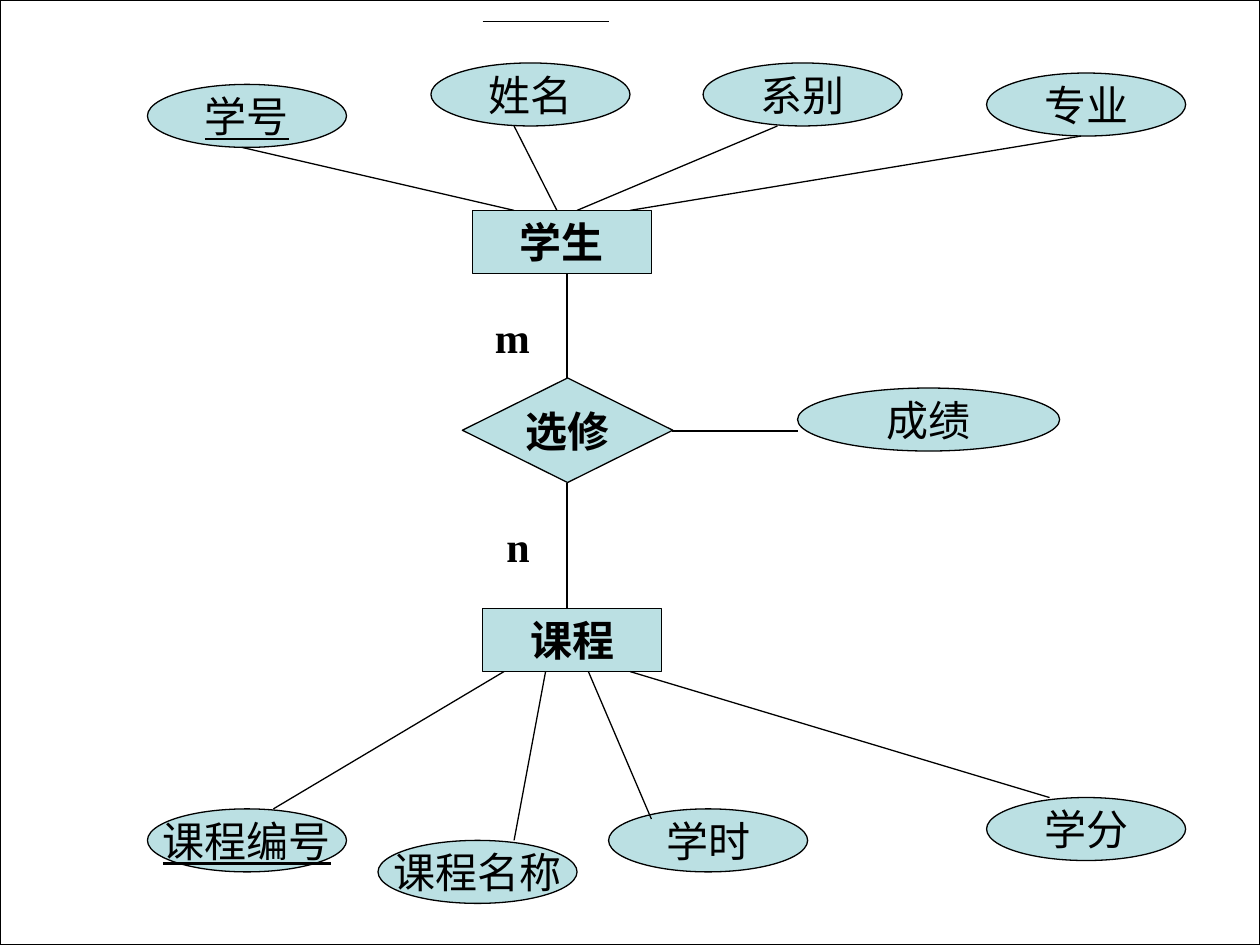
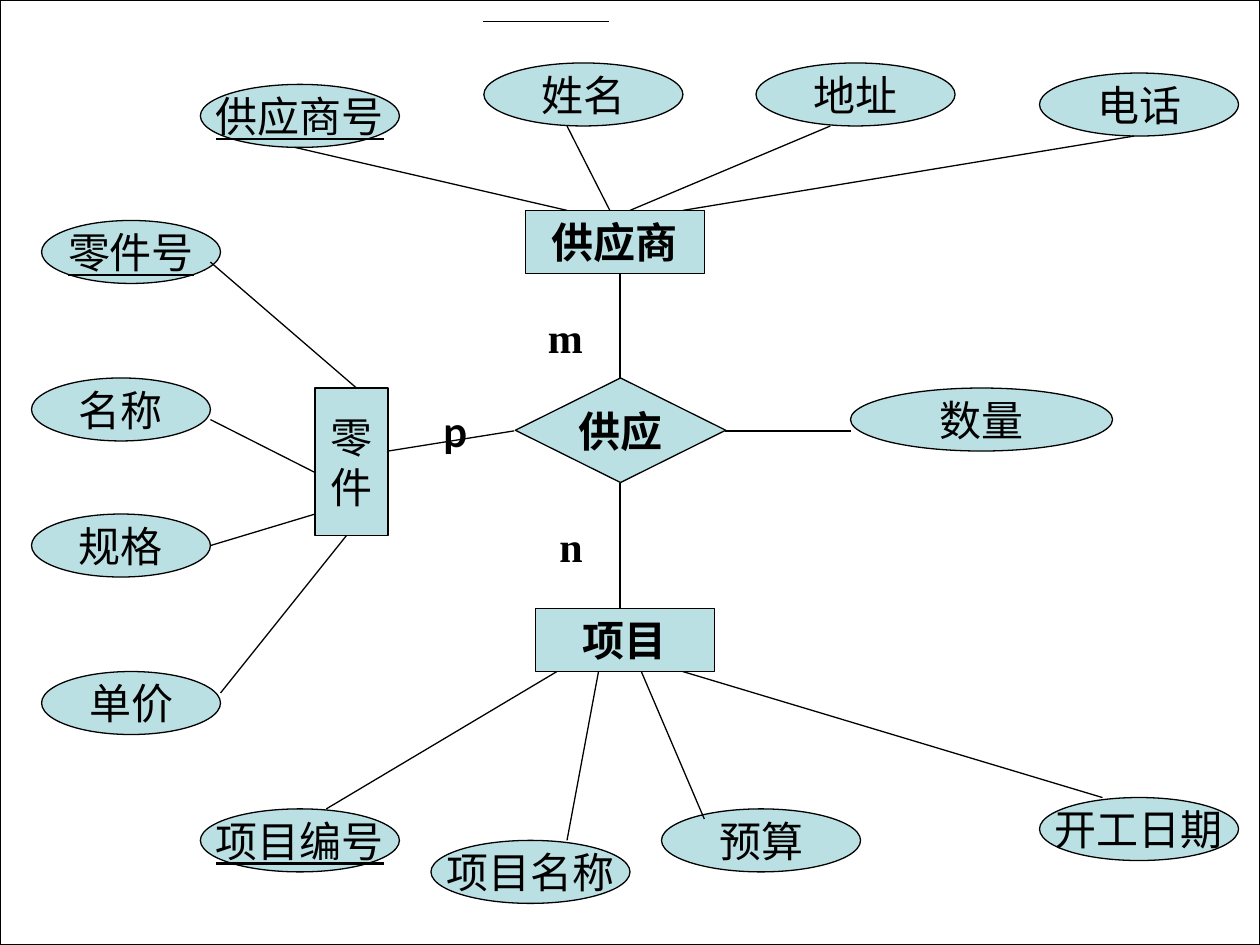
from dataclasses import dataclass

from lxml import etree
from pptx import Presentation
from pptx.dml.color import RGBColor
from pptx.enum.shapes import MSO_CONNECTOR, MSO_SHAPE
from pptx.enum.text import MSO_ANCHOR, PP_ALIGN
from pptx.oxml.ns import qn
from pptx.slide import Slide
from pptx.util import Inches, Pt


@dataclass(frozen=True)
class Theme:
    ink: RGBColor = RGBColor(0x00, 0x00, 0x00)
    paper: RGBColor = RGBColor(0xFF, 0xFF, 0xFF)
    node: RGBColor = RGBColor(0xBB, 0xE0, 0xE3)
    size: Pt = Pt(24)
    line: Pt = Pt(0.75)
    entity_font: str = "Times New Roman"
    attribute_font: str = "Lato"


THEME = Theme()
SLIDE_W, SLIDE_H = 10, 7.5
NODE_H = 0.5


@dataclass(frozen=True)
class Link:
    x1: float
    y1: float
    x2: float
    y2: float


@dataclass(frozen=True)
class Slot:
    """Place of one attribute oval and the line that ties it to its owner."""
    x: float
    y: float
    link: Link
    w: float = 1.58
    key: bool = False


@dataclass(frozen=True)
class Diagram:
    """An m:n relationship; attributes follow the order of SLOTS."""
    dx: float
    top: str
    relation: str
    bottom: str
    attributes: tuple[str, ...]


SLOTS = (
    # Attributes of the upper entity
    Slot(1.17, 0.67, Link(1.92, 1.17, 4.08, 1.67), key=True),
    Slot(3.42, 0.5, Link(4.08, 1, 4.42, 1.67)),
    Slot(5.58, 0.5, Link(6.17, 1, 4.58, 1.67)),
    Slot(7.83, 0.58, Link(8.58, 1.08, 5, 1.67)),
    # Attributes of the lower entity
    Slot(1.17, 6.42, Link(4, 5.33, 2.17, 6.42), key=True),
    Slot(3, 6.67, Link(4.33, 5.33, 4.08, 6.67)),
    Slot(4.83, 6.42, Link(4.67, 5.33, 5.17, 6.5)),
    Slot(7.83, 6.33, Link(5, 5.33, 8.33, 6.33)),
    # Attribute of the relationship
    Slot(6.33, 3.08, Link(5.33, 3.42, 6.33, 3.42), w=2.08),
)

PART_SLOTS = (
    Slot(0.33, 1.75, Link(1.67, 2.08, 2.83, 3.08), w=1.42, key=True),
    Slot(0.25, 3, Link(1.67, 3.33, 2.5, 3.75), w=1.42),
    Slot(0.25, 4.08, Link(1.67, 4.33, 2.5, 4.08), w=1.42),
    Slot(0.33, 5.33, Link(1.75, 5.5, 2.75, 4.25), w=1.42),
)

COURSES = Diagram(0, "学生", "选修", "课程",
                  ("学号", "姓名", "系别", "专业",
                   "课程编号", "课程名称", "学时", "学分", "成绩"))
SUPPLY = Diagram(0.42, "供应商", "供应", "项目",
                 ("供应商号", "姓名", "地址", "电话",
                  "项目编号", "项目名称", "预算", "开工日期", "数量"))
PART_ATTRIBUTES = ("零件号", "名称", "规格", "单价")


def write(sp, text: str, font: str, bold: bool = False, underline: bool = False,
          align: PP_ALIGN = PP_ALIGN.CENTER) -> None:
    tf = sp.text_frame
    tf.text = text
    tf.word_wrap = False
    tf.vertical_anchor = MSO_ANCHOR.MIDDLE
    for p in tf.paragraphs:
        p.alignment = align
        p.font.name, p.font.size = font, THEME.size
        p.font.bold, p.font.underline = bold, underline
        p.font.color.rgb = THEME.ink


def add_node(s: Slide, kind: MSO_SHAPE, x: float, y: float, w: float, h: float,
             fill: RGBColor = THEME.node):
    sp = s.shapes.add_shape(kind, Inches(x), Inches(y), Inches(w), Inches(h))
    sp.shadow.inherit = False
    sp.fill.solid()
    sp.fill.fore_color.rgb = fill
    sp.line.color.rgb = THEME.ink
    sp.line.width = THEME.line
    return sp


def add_link(s: Slide, link: Link, dx: float = 0) -> None:
    cx = s.shapes.add_connector(
        MSO_CONNECTOR.STRAIGHT, Inches(link.x1 + dx), Inches(link.y1),
        Inches(link.x2 + dx), Inches(link.y2))
    cx.line.color.rgb = THEME.ink
    cx.line.width = THEME.line
    etree.SubElement(cx._element.spPr, qn("a:effectLst"))


def add_cardinality(s: Slide, text: str, x: float, y: float,
                    font: str = THEME.entity_font) -> None:
    tb = s.shapes.add_textbox(Inches(x), Inches(y), Inches(0.42), Inches(NODE_H))
    write(tb, text, font, bold=True, align=PP_ALIGN.LEFT)


def add_attributes(s: Slide, slots: tuple[Slot, ...], names: tuple[str, ...],
                   dx: float = 0) -> None:
    for slot, name in zip(slots, names):
        sp = add_node(s, MSO_SHAPE.OVAL, slot.x + dx, slot.y, slot.w, NODE_H)
        write(sp, name, THEME.attribute_font, underline=slot.key)
    for slot in slots:
        add_link(s, slot.link, dx)


def add_diagram(prs: Presentation, d: Diagram) -> Slide:
    s = prs.slides.add_slide(prs.slide_layouts[6])

    # Page frame and the rule at the top
    add_node(s, MSO_SHAPE.RECTANGLE, 0, 0, SLIDE_W, SLIDE_H, THEME.paper)
    add_link(s, Link(3.83, 0.17, 4.83, 0.17))

    # Entities and their relationship
    for kind, name, x, y, w, h in (
            (MSO_SHAPE.RECTANGLE, d.top, 3.75, 1.67, 1.42, NODE_H),
            (MSO_SHAPE.DIAMOND, d.relation, 3.67, 3, 1.67, 0.83),
            (MSO_SHAPE.RECTANGLE, d.bottom, 3.83, 4.83, 1.42, NODE_H)):
        sp = add_node(s, kind, x + d.dx, y, w, h)
        write(sp, name, THEME.entity_font, bold=True)
    add_link(s, Link(4.5, 3, 4.5, 2.17), d.dx)
    add_link(s, Link(4.5, 3.83, 4.5, 4.83), d.dx)
    add_cardinality(s, "m", 3.83 + d.dx, 2.42)
    add_cardinality(s, "n", 3.92 + d.dx, 4.08)

    add_attributes(s, SLOTS, d.attributes, d.dx)
    return s


def add_part_entity(s: Slide) -> None:
    """Third entity of the supply relationship, on the left."""
    sp = add_node(s, MSO_SHAPE.RECTANGLE, 2.5, 3.08, 0.58, 1.17)
    write(sp, "零\n件", THEME.attribute_font)
    add_attributes(s, PART_SLOTS, PART_ATTRIBUTES)
    add_link(s, Link(3.08, 3.58, 4.08, 3.42))
    add_cardinality(s, "p", 3.42, 3.17, THEME.attribute_font)


def main() -> None:
    prs = Presentation()
    prs.slide_width, prs.slide_height = Inches(SLIDE_W), Inches(SLIDE_H)
    add_diagram(prs, COURSES)
    add_part_entity(add_diagram(prs, SUPPLY))
    prs.save("out.pptx")


if __name__ == "__main__":
    main()
